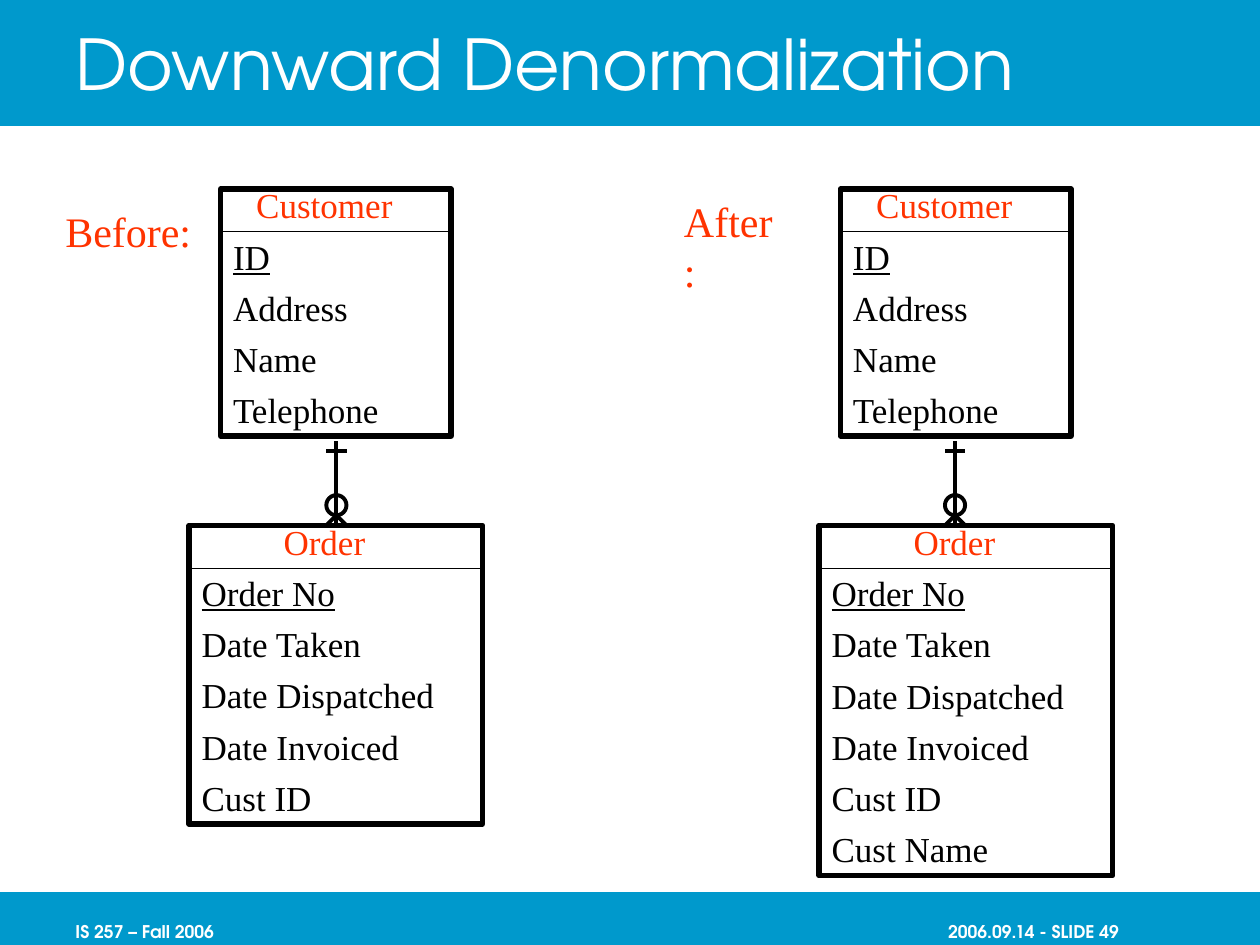
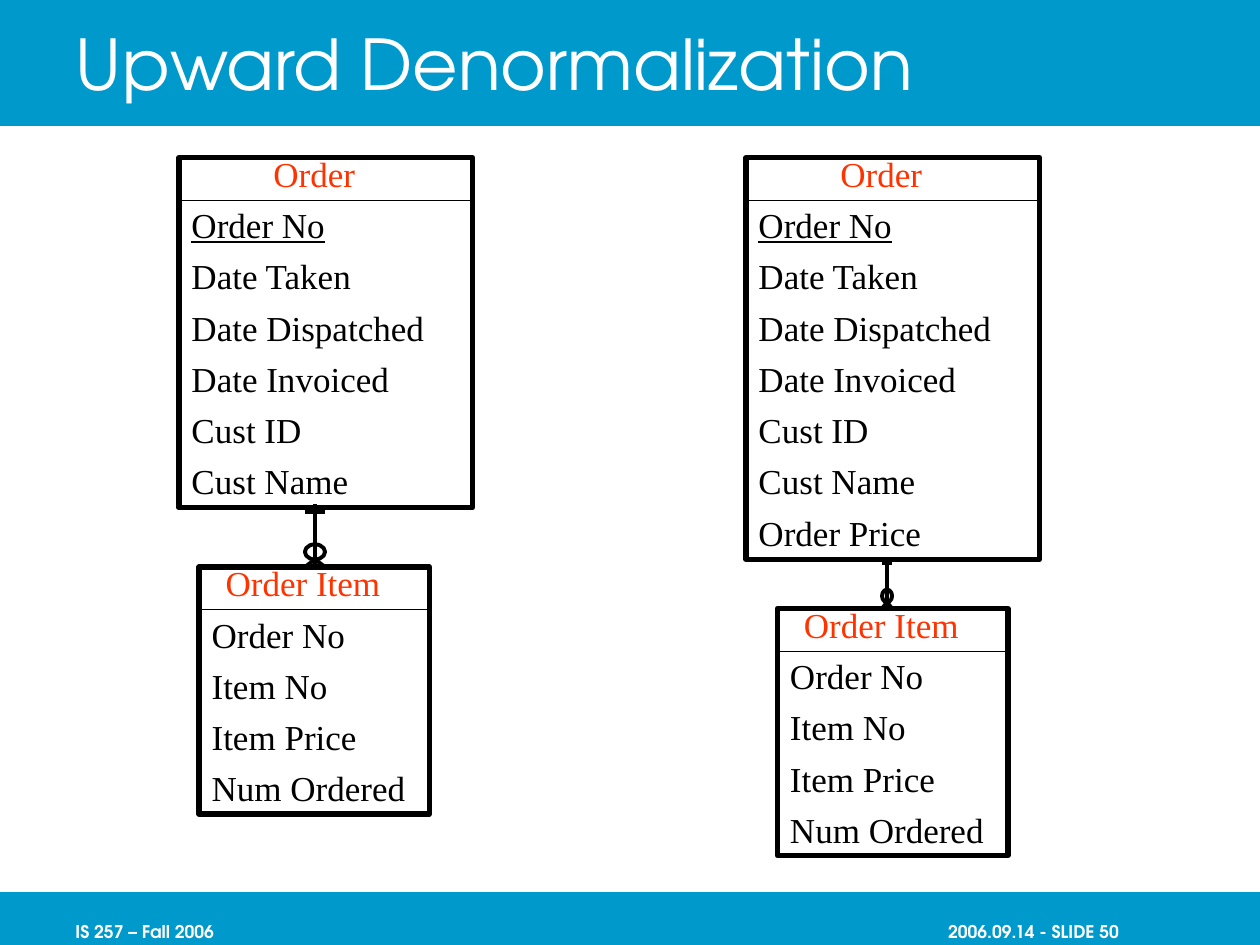
from dataclasses import dataclass

from lxml import etree
from pptx import Presentation
from pptx.dml.color import RGBColor
from pptx.enum.shapes import MSO_CONNECTOR, MSO_SHAPE
from pptx.enum.text import MSO_ANCHOR, MSO_AUTO_SIZE, PP_ALIGN
from pptx.oxml.ns import qn
from pptx.util import Inches, Pt

RECT, OVAL = MSO_SHAPE.RECTANGLE, MSO_SHAPE.OVAL
STRAIGHT = MSO_CONNECTOR.STRAIGHT
TOP, MIDDLE = MSO_ANCHOR.TOP, MSO_ANCHOR.MIDDLE
LEFT, CENTER, RIGHT = PP_ALIGN.LEFT, PP_ALIGN.CENTER, PP_ALIGN.RIGHT
FIT_SHAPE, NO_FIT = MSO_AUTO_SIZE.SHAPE_TO_FIT_TEXT, MSO_AUTO_SIZE.NONE


@dataclass(frozen=True)
class Theme:
    band: RGBColor = RGBColor(0x00, 0x99, 0xCC)
    white: RGBColor = RGBColor(0xFF, 0xFF, 0xFF)
    ink: RGBColor = RGBColor(0x00, 0x00, 0x00)
    accent: RGBColor = RGBColor(0xFF, 0x33, 0x00)
    head_font: str = "TeX Gyre Adventor"
    body_font: str = "Times New Roman"
    title: int = 40
    label: int = 24
    entity: int = 20
    footer: int = 10
    border: float = 3
    relation: float = 2.25
    divider: float = 0.75


T = Theme()
BANDS = [(0, 1), (7.08, 0.42)]
ROW_H = 0.41
HEADER_H = 0.34

CUSTOMER = ["ID", "Address", "Name", "Telephone"]
ORDER = ["Order No", "Date Taken", "Date Dispatched", "Date Invoiced", "Cust ID"]
ORDER_NAMED = ORDER + ["Cust Name"]
ORDER_PRICED = ORDER_NAMED + ["Order Price"]
ORDER_ITEM = ["Order No", "Item No", "Item Price", "Num Ordered"]


def box(*lengths):
    return [Inches(v) for v in lengths]


def style(p, font, size, color, bold=False):
    for r in p.runs:
        r.font.name, r.font.size, r.font.bold = font, Pt(size), bold
        r.font.color.rgb = color


def set_margins(tf, left, top, right, bottom):
    tf.margin_left, tf.margin_top, tf.margin_right, tf.margin_bottom = box(
        left, top, right, bottom)


def add_line(shapes, x1, y1, x2, y2, width):
    line = shapes.add_connector(STRAIGHT, *box(x1, y1, x2, y2))
    line.line.color.rgb = T.ink
    line.line.width = Pt(width)
    etree.SubElement(line._element.spPr, qn("a:effectLst"))


def add_outline(shapes, kind, x, y, w, h, width):
    sp = shapes.add_shape(kind, *box(x, y, w, h))
    sp.shadow.inherit = False
    sp.fill.background()
    sp.line.color.rgb = T.ink
    sp.line.width = Pt(width)
    return sp


def add_bands(layout, s):
    for i, (y, h) in enumerate(BANDS):
        band = s.shapes.add_shape(RECT, *box(0, y, 10, h))
        band.shadow.inherit = False
        band.fill.solid()
        band.fill.fore_color.rgb = T.band
        band.line.fill.background()
        layout.shapes._spTree.insert(2 + i, band._element)


def add_title(s, text):
    title = s.shapes.title
    title.left, title.top, title.width, title.height = box(0.5, 0, 8.5, 1)
    tf = title.text_frame
    tf.text = text
    tf.vertical_anchor, tf.auto_size = MIDDLE, NO_FIT
    p = tf.paragraphs[0]
    p.alignment = LEFT
    style(p, T.head_font, T.title, T.white)


def add_footer(s, x, text, align, left, right):
    tf = s.shapes.add_textbox(*box(x, 7.08, 2.08, 0.42)).text_frame
    tf.text = text
    tf.word_wrap, tf.vertical_anchor = True, MIDDLE
    set_margins(tf, left, 0.21, right, 0.01)
    p = tf.paragraphs[0]
    p.alignment = align
    style(p, T.head_font, T.footer, T.white, bold=True)


def add_entity(shapes, x, y, w, name, fields, keyed=True):
    h = ROW_H * (len(fields) + 1) - 0.09
    sp = add_outline(shapes, RECT, x, y, w, h, T.border)
    tf = sp.text_frame
    tf.text = "\n".join([name] + fields)
    tf.word_wrap, tf.vertical_anchor, tf.auto_size = True, TOP, FIT_SHAPE
    set_margins(tf, 0, 0.05, 0.18, 0.05)
    for i, p in enumerate(tf.paragraphs):
        p.line_spacing, p.space_before = 0.7, Pt(12.5)
        p.alignment = LEFT if i else CENTER
        style(p, T.body_font, T.entity, T.ink if i else T.accent)
        if i:
            p._p.get_or_add_pPr().set("marL", str(Inches(0.1)))
    if keyed:
        tf.paragraphs[1].runs[0].font.underline = True
    add_line(shapes, x, y + HEADER_H, x + w, y + HEADER_H, T.divider)


def add_relation(shapes, x, top, bottom, dx, dy):
    foot = bottom - dy
    add_line(shapes, x, top, x, bottom, T.relation)
    for side in (-dx, dx):
        add_line(shapes, x, foot, x + side, bottom, T.relation)
    add_line(shapes, x - dx, top + dy, x + dx, top + dy, T.relation)
    add_outline(shapes, OVAL, x - dx, foot - 2 * dy, 2 * dx, 2 * dy, T.relation)


def add_label(shapes, x, y, w, text):
    tf = shapes.add_textbox(*box(x, y, w, 0.5)).text_frame
    tf.text = text
    tf.word_wrap, tf.auto_size = False, FIT_SHAPE
    style(tf.paragraphs[0], T.body_font, T.label, T.accent)


def add_model(s, parent, child, relation, label=None):
    shapes = s.shapes.add_group_shape().shapes
    add_entity(shapes, *parent)
    add_entity(shapes, *child)
    add_relation(shapes, *relation)
    if label:
        add_label(shapes, *label)


def add_slide(prs, layout, title, number, models):
    s = prs.slides.add_slide(layout)
    add_title(s, title)
    add_footer(s, 0.5, "IS 257 – Fall 2006", LEFT, 0.1, 0)
    add_footer(s, 7.42, f"2006.09.14 - SLIDE {number}", RIGHT, 0, 0.62)
    for model in models:
        add_model(s, *model)
    return s


def main():
    prs = Presentation()
    prs.slide_width, prs.slide_height = box(10, 7.5)
    layout = prs.slide_layouts[5]
    downward = [
        ((1.75, 1.5, 1.83, "Customer", CUSTOMER),
         (1.5, 4.17, 2.33, "Order", ORDER),
         (2.67, 3.5, 4.17, 0.08, 0.08),
         (0.42, 1.58, 1.2, "Before:")),
        ((6.67, 1.5, 1.83, "Customer", CUSTOMER),
         (6.5, 4.17, 2.33, "Order", ORDER_NAMED),
         (7.58, 3.5, 4.17, 0.08, 0.08),
         (5.33, 1.5, 0.99, "After:")),
    ]
    upward = [
        ((5.92, 1.25, 2.33, "Order", ORDER_PRICED),
         (6.17, 4.83, 1.83, "Order Item", ORDER_ITEM, False),
         (7.04, 4.42, 4.83, 0.04, 0.05)),
        ((1.42, 1.25, 2.33, "Order", ORDER_NAMED),
         (1.58, 4.5, 1.83, "Order Item", ORDER_ITEM, False),
         (2.5, 4, 4.5, 0.08, 0.06)),
    ]
    s = add_slide(prs, layout, "Downward Denormalization", 49, downward)
    add_bands(layout, s)
    add_slide(prs, layout, "Upward Denormalization", 50, upward)
    prs.save("out.pptx")


if __name__ == "__main__":
    main()
